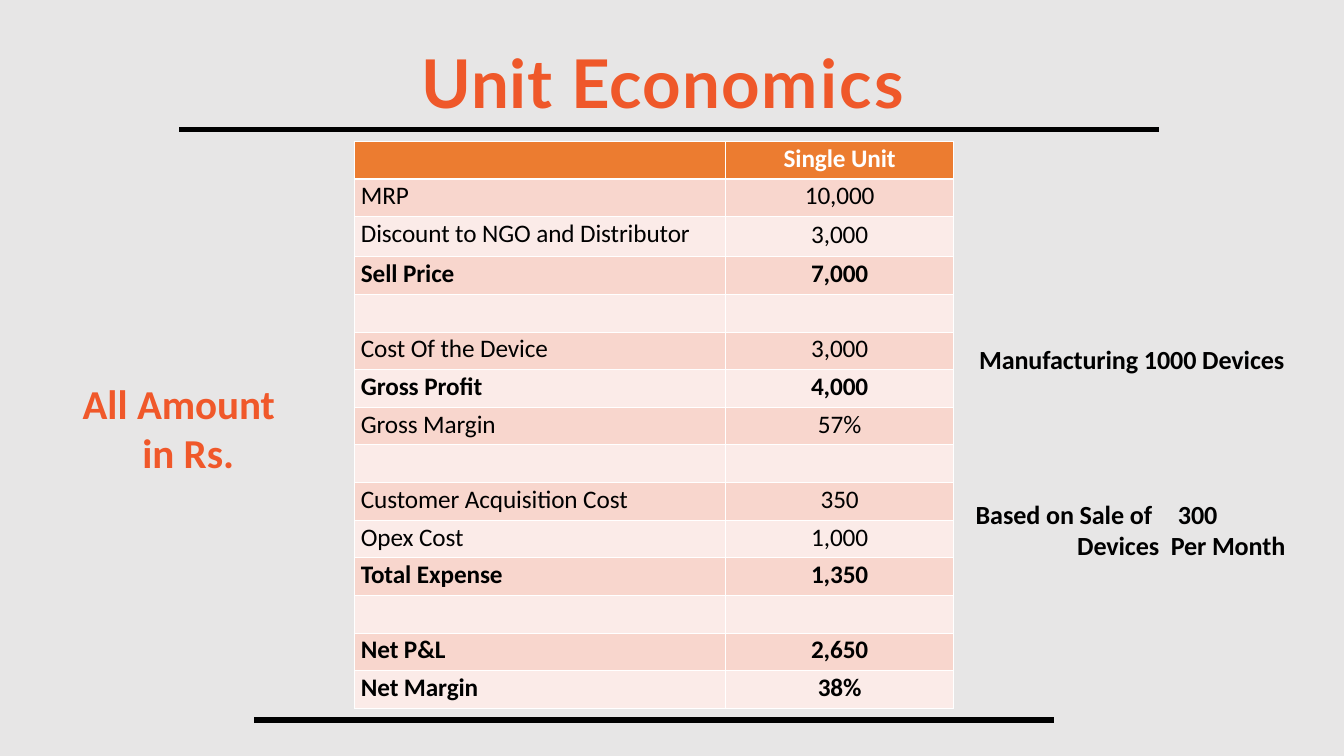
from dataclasses import dataclass
from lxml.etree import SubElement
from pptx import Presentation
from pptx.dml.color import RGBColor
from pptx.enum.shapes import MSO_CONNECTOR
from pptx.enum.text import MSO_ANCHOR, MSO_AUTO_SIZE, PP_ALIGN
from pptx.oxml.ns import qn
from pptx.util import Inches, Pt


@dataclass(frozen=True)
class Theme:
    background: str = "E7E6E6"
    title: str = "EF582A"
    accent: str = "F0582A"
    black: str = "000000"
    white: str = "FFFFFF"
    header: str = "EC7C30"
    bands: tuple = ("FBEBE8", "F8D6CD")
    title_font: str = "Lato"
    body_font: str = "Calibri"
    title_size: int = 72
    caption_size: int = 44
    note_size: int = 28
    table_size: int = 27


theme = Theme()


def add_run(para, text, size, color, bold=True, spacing=0, font=theme.body_font):
    span = para.add_run()
    span.text = text
    span.font.name = font
    span.font.size = Pt(size)
    span.font.bold = bold
    span.font.color.rgb = RGBColor.from_string(color)
    span._r.get_or_add_rPr().set("spc", str(round(spacing * 100)))


def prepare_frame(box, space_before, margin, indent):
    frame = box.text_frame
    frame.word_wrap = True
    frame.auto_size = MSO_AUTO_SIZE.SHAPE_TO_FIT_TEXT
    frame.vertical_anchor = MSO_ANCHOR.TOP
    frame.margin_left = frame.margin_right = frame.margin_bottom = 0
    frame.margin_top = Inches(0.01)
    para = frame.paragraphs[0]
    para.alignment = PP_ALIGN.LEFT
    para.space_before = Pt(space_before)
    properties = para._p.get_or_add_pPr()
    properties.set("marL", str(Inches(margin)))
    properties.set("indent", str(Inches(indent)))
    return para


deck = Presentation()
deck.slide_width, deck.slide_height = Inches(20), Inches(11.25)
page = deck.slides.add_slide(deck.slide_layouts[5])
page.background.fill.solid()
page.background.fill.fore_color.rgb = RGBColor.from_string(theme.background)

title = page.shapes.title
title.left, title.top = Inches(6.26), Inches(0.61)
title.width, title.height = Inches(7.41), Inches(1.23)
para = prepare_frame(title, 1, 0.01, 0)
for text, spacing in [("Unit ", 1), ("Econ", 1.4), ("o", 1.3), ("mics", 2.5)]:
    add_run(para, text, theme.title_size, theme.title, spacing=spacing, font=theme.title_font)

for left, right, top in [(2.67, 17.25, 1.93), (3.78, 15.69, 10.71)]:
    rule = page.shapes.add_connector(
        MSO_CONNECTOR.STRAIGHT, Inches(left), Inches(top), Inches(right), Inches(top)
    )
    rule.line.color.rgb = RGBColor.from_string(theme.black)
    rule.line.width = Pt(6)
    SubElement(rule._element.spPr, qn("a:effectLst"))

rows = [
    ("", "Single Unit", True),
    ("MRP", "10,000", False),
    ("Discount to NGO and Distributor", "3,000", False),
    ("Sell Price", "7,000", True),
    ("", "", False),
    ("Cost Of the Device", "3,000", False),
    ("Gross Profit", "4,000", True),
    ("Gross Margin", "57%", False),
    ("", "", False),
    ("Customer Acquisition Cost", "350", False),
    ("Opex Cost", "1,000", False),
    ("Total Expense", "1,350", True),
    ("", "", False),
    ("Net P&L", "2,650", True),
    ("Net Margin", "38%", True),
]
table = page.shapes.add_table(
    len(rows), 2, Inches(5.27), Inches(2.1), Inches(8.92), Inches(8.42)
).table
table.horz_banding = False
for column, width in zip(table.columns, (5.53, 3.39)):
    column.width = Inches(width)

for row_index, (label, value, bold) in enumerate(rows):
    table.rows[row_index].height = Inches(0.6 if row_index == 2 else 0.56)
    fill = theme.bands[row_index % 2] if row_index else theme.header
    color = theme.black if row_index else theme.white
    for column_index, text in enumerate((label, value)):
        cell = table.cell(row_index, column_index)
        lowered = row_index == 2 and column_index == 1
        cell.margin_left = cell.margin_right = cell.margin_bottom = 0
        cell.margin_top = Inches(0.05 if lowered else 0.03)
        properties = cell._tc.get_or_add_tcPr()
        for side in ("lnL", "lnR", "lnT", "lnB"):
            heavy = (row_index, side) in ((0, "lnB"), (1, "lnT"))
            border = SubElement(properties, qn(f"a:{side}"), w=str(Pt(3 if heavy else 1)))
            SubElement(SubElement(border, qn("a:solidFill")), qn("a:srgbClr"), val=theme.white)
        cell.fill.solid()
        cell.fill.fore_color.rgb = RGBColor.from_string(fill)
        if not text:
            continue
        para = cell.text_frame.paragraphs[0]
        if column_index:
            para.alignment = PP_ALIGN.CENTER
            para.space_before = Pt(3.6 if lowered else 2.3)
        else:
            para.space_before = Pt(2)
            para._p.get_or_add_pPr().set("marL", str(Inches(0.1)))
        add_run(para, text, theme.table_size, color, bold, -0.1)

notes = [
    ((14.51, 7.4, 4.77, 0.96), (0.9, 1.52, -1.51), 2.84, theme.note_size, theme.black,
     [("Based on Sale of\t300 Devices  ", -0.1), ("Per ", -0.2), ("Month", -0.1)]),
    ((1.22, 5.62, 2.89, 1.5), (1.1, 0.76, -0.75), None, theme.caption_size, theme.accent,
     [("All ", 0), ("Amount  ", -0.1), ("in Rs.", 0)]),
    ((14.56, 5.1, 4.62, 0.49), (0.9, 0.01, 0), None, theme.note_size, theme.black,
     [("Manufacturing 1000 Devices", -0.1)]),
]
for place, layout, tab_stop, size, color, spans in notes:
    box = page.shapes.add_textbox(*map(Inches, place))
    para = prepare_frame(box, *layout)
    if tab_stop:
        tabs = SubElement(para._p.get_or_add_pPr(), qn("a:tabLst"))
        SubElement(tabs, qn("a:tab"), pos=str(Inches(tab_stop)), algn="l")
    for text, spacing in spans:
        add_run(para, text, size, color, spacing=spacing)

deck.save("out.pptx")
